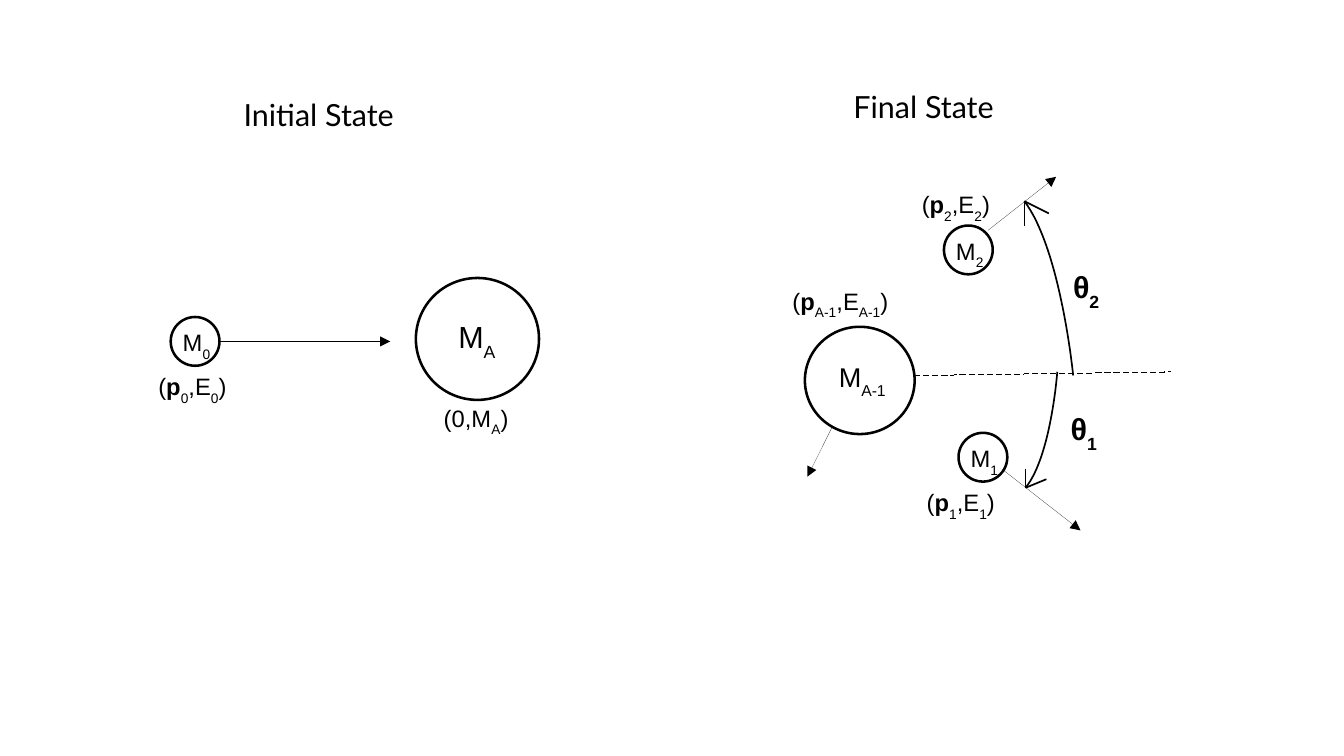
"""Builds a scattering diagram with its initial and final particle states."""
from dataclasses import dataclass

from lxml import etree
from pptx import Presentation
from pptx.dml.color import RGBColor
from pptx.enum.dml import MSO_LINE
from pptx.enum.shapes import MSO_CONNECTOR, MSO_SHAPE
from pptx.enum.text import MSO_AUTO_SIZE
from pptx.oxml.ns import qn
from pptx.util import Pt

PX = 9144
STRAIGHT = MSO_CONNECTOR.STRAIGHT
OVAL = MSO_SHAPE.OVAL
DASH = MSO_LINE.DASH
FIT_TEXT = MSO_AUTO_SIZE.SHAPE_TO_FIT_TEXT
PLAIN, BOLD, SUB, BOLD_SUB = "plain", "bold", "sub", "bold sub"
SUBSCRIPT_BASELINE = "-33000"
ARC_STEPS = 32


@dataclass(frozen=True)
class Theme:
    """Holds the colours, fonts, type sizes and line widths."""
    ink: RGBColor = RGBColor(0, 0, 0)
    label_font: str = "Arial"
    title_font: str = "Lato"
    small: int = 14
    medium: int = 16
    large: int = 18
    hairline: float = 0
    arc: float = 1
    outline: float = 1.5


THEME = Theme()


def ink_line(shape, width):
    """Give a shape a black line of the given width in points."""
    shape.line.color.rgb = THEME.ink
    outline = shape._element.spPr.find(qn("a:ln"))
    outline.set("w", str(int(Pt(width))))
    return outline


def add_particle(slide, left, top, width, height):
    """Add an unfilled circle for a particle."""
    particle = slide.shapes.add_shape(
        OVAL, left * PX, top * PX, width * PX, height * PX)
    particle.shadow.inherit = False
    particle.fill.background()
    ink_line(particle, THEME.outline)


def add_label(slide, box, runs, size, font=THEME.label_font):
    """Add a text box made of (text, style) runs."""
    left, top, width, height = (length * PX for length in box)
    label = slide.shapes.add_textbox(left, top, width, height)
    frame = label.text_frame
    frame.word_wrap = True
    frame.auto_size = FIT_TEXT
    paragraph = frame.paragraphs[0]
    for text, style in runs:
        run = paragraph.add_run()
        run.text = text
        run.font.name = font
        run.font.size = Pt(size)
        run.font.bold = style in (BOLD, BOLD_SUB)
        run.font.color.rgb = THEME.ink
        if style in (SUB, BOLD_SUB):
            run._r.get_or_add_rPr().set("baseline", SUBSCRIPT_BASELINE)


def add_line(slide, start, end, width=THEME.hairline, arrow=False, dashed=False):
    """Add a straight line, optionally dashed or ending in an arrowhead."""
    line = slide.shapes.add_connector(
        STRAIGHT, *(length * PX for length in start + end))
    outline = ink_line(line, width)
    if dashed:
        line.line.dash_style = DASH
    if arrow:
        etree.SubElement(outline, qn("a:tailEnd"), type="triangle")
    etree.SubElement(line._element.spPr, qn("a:effectLst"))


def add_angle_arc(slide, tip, control, end):
    """Add a cubic curve whose second control point is its end."""
    def point(t):
        """Return the curve point at t in EMU."""
        return tuple(
            round(PX * ((1 - t) ** 3 * a + 3 * t * (1 - t) ** 2 * b
                        + (3 * t ** 2 * (1 - t) + t ** 3) * c))
            for a, b, c in zip(tip, control, end))

    builder = slide.shapes.build_freeform(*point(0))
    builder.add_line_segments(
        [point(step / ARC_STEPS) for step in range(1, ARC_STEPS + 1)], close=False)
    arc = builder.convert_to_shape()
    arc.shadow.inherit = False
    arc.fill.background()
    ink_line(arc, THEME.arc)


def mass(index):
    """Return the runs of a mass symbol."""
    return [("M", PLAIN), (index, SUB)]


def momentum_energy(index):
    """Return the runs of a momentum and energy pair."""
    return [("(", PLAIN), ("p", BOLD), (index, SUB),
            (",E", PLAIN), (index, SUB), (")", PLAIN)]


def angle(index):
    """Return the runs of a scattering angle."""
    return [("θ", BOLD), (index, BOLD_SUB)]


def add_initial_state(slide):
    """Draw the projectile approaching the target nucleus."""
    add_label(slide, (190, 74, 170, 39), [("Initial State", PLAIN)],
              THEME.large, THEME.title_font)
    add_particle(slide, 140, 260, 40, 40)
    add_particle(slide, 341, 228, 101, 100)
    add_label(slide, (140, 264, 50, 44), mass("0"), THEME.small)
    add_label(slide, (366, 256, 60, 44), mass("A"), THEME.large)
    add_line(slide, (180, 280), (320, 280), arrow=True)
    add_label(slide, (120, 300, 80, 38), momentum_energy("0"), THEME.small)
    add_label(slide, (354, 326, 80, 38),
              [("(0,M", PLAIN), ("A", SUB), (")", PLAIN)], THEME.small)


def add_final_state(slide):
    """Draw the residual nucleus, the two outgoing particles and their angles."""
    add_label(slide, (690, 67, 170, 39), [("Final State", PLAIN)],
              THEME.large, THEME.title_font)
    add_particle(slide, 660, 268, 90, 88)
    add_label(slide, (678, 291, 70, 44), mass("A-1"), THEME.medium)
    add_label(slide, (640, 230, 100, 38), momentum_energy("A-1"), THEME.small)
    add_line(slide, (682, 351), (662, 391), arrow=True)
    add_line(slide, (750, 308), (960, 305), dashed=True)

    outgoing = (
        ("1", (786, 355), (750, 395), (822, 385), (886, 435), (868, 331)),
        ("2", (774, 185), (746, 151), (810, 189), (866, 145), (870, 215)),
    )
    for index, circle, pair, start, end, theta in outgoing:
        left, top = circle
        add_particle(slide, left, top, 40, 40)
        add_label(slide, (left, top + 4, 50, 44), mass(index), THEME.small)
        add_label(slide, (*pair, 120, 38), momentum_energy(index), THEME.small)
        add_line(slide, start, end, arrow=True)
        add_label(slide, (*theta, 50, 44), angle(index), THEME.large)

    arcs = (
        ((841, 400), (862, 374), (867, 305), ((841, 385), (858, 393))),
        ((840, 165), (870, 205), (880, 308), ((840, 185), (860, 175))),
    )
    for tip, control, end, barbs in arcs:
        add_angle_arc(slide, tip, control, end)
        for barb in barbs:
            add_line(slide, tip, barb, THEME.arc)


def main():
    """Build and save the slide."""
    deck = Presentation()
    deck.slide_width = 1102 * PX
    deck.slide_height = 620 * PX
    slide = deck.slides.add_slide(deck.slide_layouts[6])
    add_initial_state(slide)
    add_final_state(slide)
    deck.save("out.pptx")


if __name__ == "__main__":
    main()
